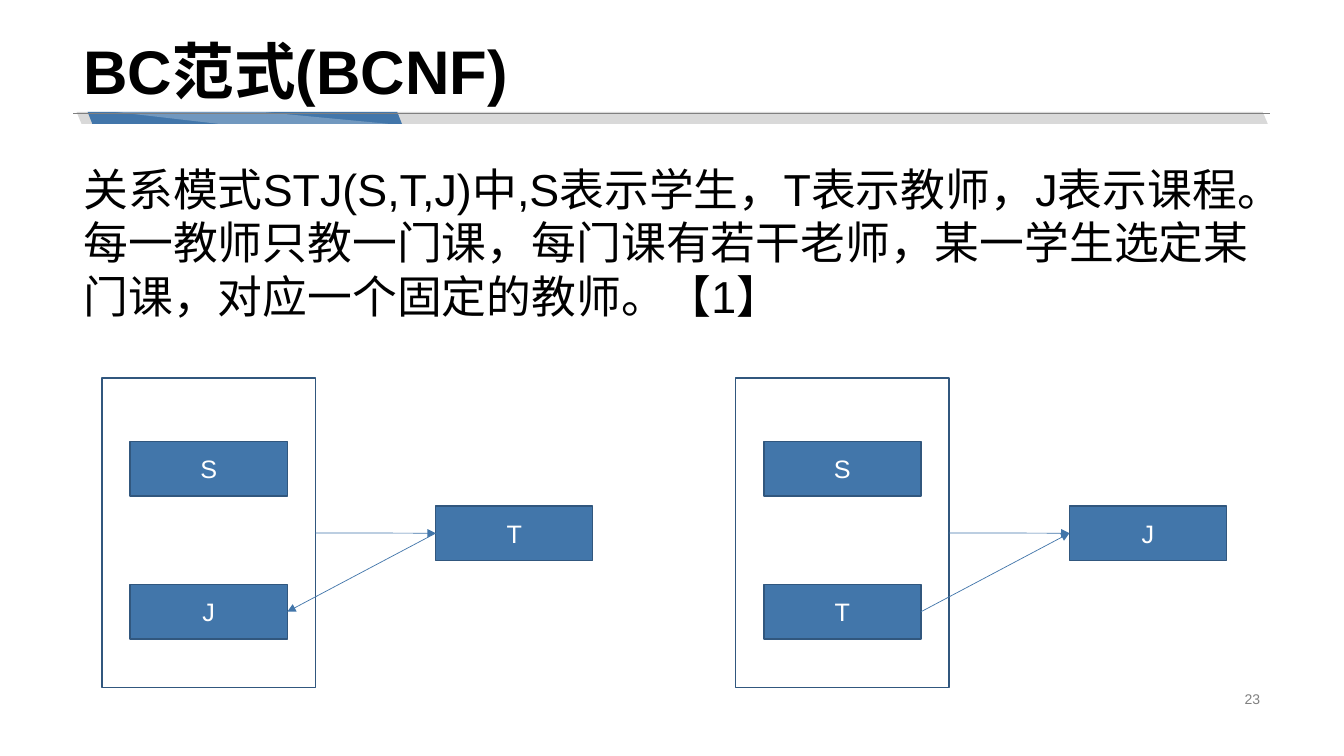
from dataclasses import dataclass

from lxml.etree import SubElement
from pptx import Presentation
from pptx.dml.color import RGBColor
from pptx.enum.shapes import MSO_CONNECTOR as Connector, MSO_SHAPE as Shape
from pptx.enum.text import MSO_ANCHOR as Anchor, MSO_AUTO_SIZE as AutoSize, PP_ALIGN as Align
from pptx.oxml.ns import qn
from pptx.util import Cm, Pt


@dataclass(frozen=True)
class Theme:
    font: str = "Arial"
    text: str = "000000"
    light: str = "FFFFFF"
    muted: str = "808080"
    track: str = "D9D9D9"
    accent: str = "4276AA"
    outline: str = "31577E"
    title_size: int = 44
    body_size: int = 32
    label_size: int = 18
    number_size: int = 10


def write_text(shape, text, size, color, bold=False, align=Align.LEFT,
               anchor=Anchor.TOP, line_spacing=1.0):
    frame = shape.text_frame
    frame.word_wrap = True
    frame.auto_size = AutoSize.NONE
    frame.vertical_anchor = anchor
    frame.text = text
    paragraph = frame.paragraphs[0]
    paragraph.alignment = align
    paragraph.line_spacing = line_spacing
    paragraph.space_before = Pt(0)
    font = paragraph.runs[0].font
    font.name = Theme.font
    font.size = Pt(size)
    font.bold = bold
    font.color.rgb = RGBColor.from_string(color)
    return paragraph


class SlideBuilder:
    def __init__(self, slide, theme):
        self.slide = slide
        self.shapes = slide.shapes
        self.theme = theme

    def paint(self, shape, fill, line=None):
        shape.shadow.inherit = False
        shape.fill.solid()
        shape.fill.fore_color.rgb = RGBColor.from_string(fill)
        if line:
            shape.line.color.rgb = RGBColor.from_string(line)
            shape.line.width = Pt(1)
        else:
            shape.line.fill.background()

    def placeholder(self, index, box, text, size, **style):
        shape = self.slide.placeholders[index]
        shape.left, shape.top, shape.width, shape.height = map(Cm, box)
        return write_text(shape, text, size, self.theme.text, **style)

    def title(self, text):
        self.placeholder(0, (1.85, 0, 30.15, 2.84), text, self.theme.title_size,
                         bold=True, anchor=Anchor.BOTTOM, line_spacing=0.9)

    def body(self, text):
        paragraph = self.placeholder(1, (1.85, 3.94, 30.15, 4.37), text, self.theme.body_size)
        properties = paragraph._p.get_or_add_pPr()
        properties.set("marL", "0")
        properties.set("indent", "0")
        SubElement(properties, qn("a:buNone"))

    def page_number(self, number):
        shape = self.shapes.add_textbox(Cm(23.93), Cm(17.32), Cm(8.08), Cm(0.58))
        write_text(shape, str(number), self.theme.number_size, self.theme.muted,
                   align=Align.RIGHT, anchor=Anchor.MIDDLE)

    def slanted_bar(self, left, width, slant, color):
        bar = self.shapes.add_shape(Shape.PARALLELOGRAM, Cm(left), Cm(2.82), Cm(width), Cm(0.3))
        bar.adjustments[0] = slant
        bar.element.spPr.find(qn("a:xfrm")).set("flipH", "1")
        self.paint(bar, color)

    def highlight(self, points):
        start, *others = [(Cm(x), Cm(y)) for x, y in points]
        outline = self.shapes.build_freeform(*start)
        outline.add_line_segments(others, close=True)
        shape = outline.convert_to_shape()
        self.paint(shape, self.theme.light)
        color = shape.element.spPr.find(qn("a:solidFill"))[0]
        SubElement(color, qn("a:alpha")).set("val", "25000")

    def line(self, start, end, color, width):
        connector = self.shapes.add_connector(Connector.STRAIGHT, *map(Cm, start + end))
        connector.line.color.rgb = RGBColor.from_string(color)
        connector.line.width = Pt(width)
        SubElement(connector.element.spPr, qn("a:effectLst"))
        return connector

    def arrow(self, source, source_site, target, target_site):
        connector = self.line((0, 0), (1, 1), self.theme.accent, 0.5)
        connector.begin_connect(source, source_site)
        connector.end_connect(target, target_site)
        line = connector.element.spPr.find(qn("a:ln"))
        SubElement(line, qn("a:tailEnd")).set("type", "triangle")

    def rectangle(self, left, top, width, height, fill):
        shape = self.shapes.add_shape(Shape.RECTANGLE, Cm(left), Cm(top), Cm(width), Cm(height))
        self.paint(shape, fill, self.theme.outline)
        return shape

    def attribute(self, left, top, name):
        shape = self.rectangle(left, top, 3.96, 1.37, self.theme.accent)
        write_text(shape, name, self.theme.label_size, self.theme.light,
                   align=Align.CENTER, anchor=Anchor.MIDDLE)
        return shape

    def header_rule(self):
        self.slanted_bar(1.93, 30.02, 0.42, self.theme.track)
        self.slanted_bar(2.21, 7.92, 0.39, self.theme.accent)
        self.highlight([(9.78, 3.12), (6.6, 2.82), (2.9, 2.82), (5.49, 3.12)])
        self.line((1.85, 2.84), (32, 2.84), self.theme.muted, 0.25)

    def dependency(self, left, determinants, dependent, reverse):
        left_site, right_site = 1, 3
        group = self.rectangle(left, 9.53, 5.38, 7.8, self.theme.light)
        upper, lower = determinants
        self.attribute(left + 0.71, 11.13, upper)
        lower_box = self.attribute(left + 0.71, 14.73, lower)
        result = self.attribute(left + 8.41, 12.75, dependent)
        self.arrow(group, right_site, result, left_site)
        if reverse:
            self.arrow(result, left_site, lower_box, right_site)
        else:
            self.arrow(lower_box, right_site, result, left_site)


def main():
    presentation = Presentation()
    presentation.slide_width = Cm(33.87)
    presentation.slide_height = Cm(19.05)
    slide = presentation.slides.add_slide(presentation.slide_layouts[1])
    builder = SlideBuilder(slide, Theme())
    builder.header_rule()
    builder.title("BC范式(BCNF)")
    builder.body("关系模式STJ(S,T,J)中,S表示学生，T表示教师，J表示课程。"
                 "每一教师只教一门课，每门课有若干老师，某一学生选定某门课，"
                 "对应一个固定的教师。【1】")
    builder.page_number(23)
    builder.dependency(2.57, "SJ", "T", reverse=True)
    builder.dependency(18.54, "ST", "J", reverse=False)
    presentation.save("out.pptx")


if __name__ == "__main__":
    main()
